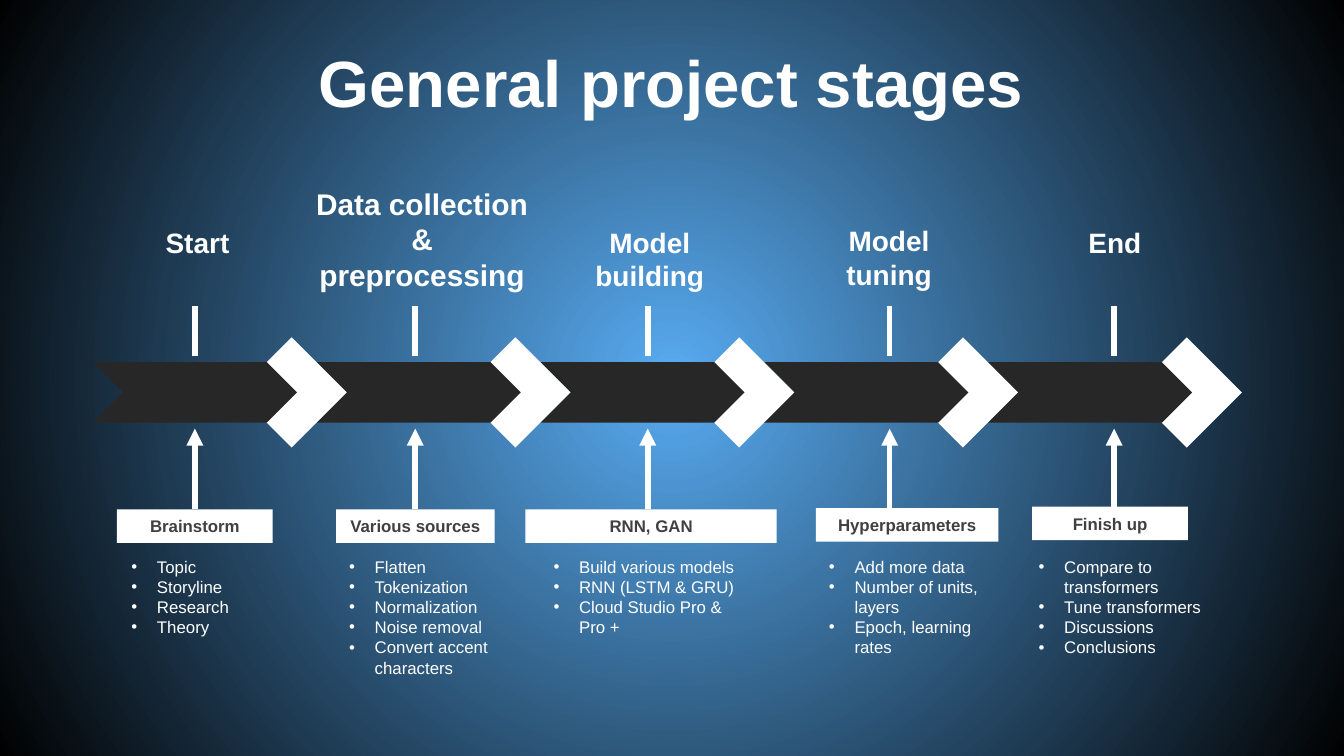
from collections import namedtuple

from lxml import etree
from pptx import Presentation
from pptx.dml.color import RGBColor
from pptx.enum.shapes import MSO_CONNECTOR, MSO_SHAPE
from pptx.enum.text import MSO_ANCHOR, MSO_AUTO_SIZE, PP_ALIGN
from pptx.oxml.ns import qn
from pptx.util import Inches, Pt

FONT = "Arial"
WHITE, DARK, LABEL_TEXT = "FFFFFF", "272727", "404040"
GLOW, EDGE = "58ABF1", "010101"

SLIDE_WIDTH = 10
SLIDE_HEIGHT = SLIDE_WIDTH * 9 / 16

BAND_LEFT, BAND_TOP, BAND_WIDTH = 0.69, 2.51, 8.55
DIAMOND = 0.82
CHEVRON_WIDTH, CHEVRON_HEIGHT = 1.52, 0.45
DIAMOND_OFFSET = 1.07
LABEL_HEIGHT, BULLETS_TOP = 0.25, 4.09

# Boxes: title (left, top, width, height), label (left, top, width),
# bullets (left, width, height); axis is the x of the tick and the arrow.
Stage = namedtuple(
    "Stage", "title title_box size anchor axis label label_box bullets bullets_box")

STAGES = [
    Stage("Start", (0.8, 1.63, 1.34, 0.35), 15, MSO_ANCHOR.TOP, 1.45,
          "Brainstorm", (0.87, 3.79, 1.16),
          ["Topic", "Storyline", "Research", "Theory"], (0.88, 1.16, 0.86)),
    Stage("Data collection & preprocessing", (2.2, 1.33, 1.88, 1.16), 16,
          MSO_ANCHOR.TOP, 3.09,
          "Various sources", (2.5, 3.79, 1.18),
          ["Flatten", "Tokenization", "Normalization", "Noise removal",
           "Convert accent characters"], (2.5, 1.34, 1.01)),
    Stage("Model building", (4.22, 1.62, 1.23, 0.61), 15, MSO_ANCHOR.MIDDLE, 4.82,
          "RNN, GAN", (3.91, 3.79, 1.87),
          ["Build various models", "RNN (LSTM & GRU)", "Cloud Studio Pro & Pro +"],
          (4.02, 1.61, 0.71)),
    Stage("Model tuning", (5.96, 1.61, 1.31, 0.61), 15, MSO_ANCHOR.MIDDLE, 6.62,
          "Hyperparameters", (6.07, 3.78, 1.36),
          ["Add more data", "Number of units, layers", "Epoch, learning rates"],
          (6.07, 1.36, 0.86)),
    Stage("End", (7.85, 1.63, 0.89, 0.35), 15, MSO_ANCHOR.MIDDLE, 8.29,
          "Finish up", (7.68, 3.77, 1.16),
          ["Compare to transformers", "Tune transformers", "Discussions",
           "Conclusions"], (7.63, 1.61, 0.86)),
]


def color(hex_string):
    return RGBColor.from_string(hex_string)


def inches(*lengths):
    return [Inches(length) for length in lengths]


def set_background(slide):
    """Radial gradient from a bright centre to dark corners."""
    fill = slide.background.fill
    fill.gradient()
    for stop, shade in zip(fill.gradient_stops, (GLOW, EDGE)):
        stop.color.rgb = color(shade)
    gradient = slide.element.find(".//" + qn("a:gradFill"))
    linear = gradient.find(qn("a:lin"))
    path = etree.Element(qn("a:path"), path="circle")
    etree.SubElement(path, qn("a:fillToRect"),
                     {side: "50000" for side in ("l", "t", "r", "b")})
    gradient.replace(linear, path)


def style_text(text_frame, size, shade, bold=False, alignment=PP_ALIGN.CENTER,
               anchor=MSO_ANCHOR.TOP):
    text_frame.word_wrap = True
    text_frame.vertical_anchor = anchor
    for paragraph in text_frame.paragraphs:
        paragraph.alignment = alignment
        for run in paragraph.runs:
            run.font.name = FONT
            run.font.size = Pt(size)
            run.font.bold = bold
            run.font.color.rgb = color(shade)


def add_solid(shapes, preset, box, shade):
    shape = shapes.add_shape(preset, *inches(*box))
    shape.shadow.inherit = False
    shape.fill.solid()
    shape.fill.fore_color.rgb = color(shade)
    shape.line.fill.background()
    return shape


def add_vertical_line(shapes, x, bottom, top, arrow=False):
    line = shapes.add_connector(
        MSO_CONNECTOR.STRAIGHT, *inches(x, bottom, x, top))
    line.line.color.rgb = color(WHITE)
    line.line.width = Pt(3)
    properties = line.element.spPr
    if arrow:
        etree.SubElement(properties.find(qn("a:ln")), qn("a:tailEnd"), type="triangle")
    etree.SubElement(properties, qn("a:effectLst"))
    return line


def add_heading(shapes, text, box):
    text_frame = shapes.add_textbox(*inches(*box)).text_frame
    text_frame.text = text
    text_frame.margin_top = text_frame.margin_bottom = Inches(0.1)
    style_text(text_frame, 35, WHITE, bold=True, anchor=MSO_ANCHOR.MIDDLE)
    text_frame.paragraphs[0].line_spacing = 1.15


def add_chevron_band(shapes, left, top, width, count):
    """Draws right to left, so each diamond tip covers the next chevron's notch."""
    pitch = (width - DIAMOND_OFFSET - DIAMOND) / (count - 1)
    chevron_top = top + (DIAMOND - CHEVRON_HEIGHT) / 2
    for index in reversed(range(count)):
        x = left + index * pitch
        add_solid(shapes, MSO_SHAPE.DIAMOND,
                  (x + DIAMOND_OFFSET, top, DIAMOND, DIAMOND), WHITE)
        add_solid(shapes, MSO_SHAPE.CHEVRON,
                  (x, chevron_top, CHEVRON_WIDTH, CHEVRON_HEIGHT), DARK)


def add_bullets(shapes, items, box):
    text_frame = shapes.add_textbox(*inches(*box)).text_frame
    text_frame.text = "\n".join(items)
    for paragraph in text_frame.paragraphs:
        properties = paragraph._p.get_or_add_pPr()
        properties.set("marL", str(Inches(0.19)))
        properties.set("indent", str(Inches(-0.19)))
        bullet_color = etree.SubElement(properties, qn("a:buClr"))
        etree.SubElement(bullet_color, qn("a:srgbClr"), val=WHITE)
        etree.SubElement(properties, qn("a:buFont"), typeface=FONT)
        etree.SubElement(properties, qn("a:buChar"), char="•")
    style_text(text_frame, 9, WHITE, alignment=PP_ALIGN.LEFT)
    text_frame.auto_size = MSO_AUTO_SIZE.SHAPE_TO_FIT_TEXT


def add_stage(shapes, stage):
    title = shapes.add_textbox(*inches(*stage.title_box)).text_frame
    title.text = stage.title
    style_text(title, stage.size, WHITE, bold=True, anchor=stage.anchor)
    title.auto_size = MSO_AUTO_SIZE.SHAPE_TO_FIT_TEXT
    add_vertical_line(shapes, stage.axis, 2.65, 2.28)

    details = shapes.add_group_shape().shapes
    left, top, width = stage.label_box
    label = add_solid(details, MSO_SHAPE.RECTANGLE,
                      (left, top, width, LABEL_HEIGHT), WHITE)
    label.text_frame.text = stage.label
    style_text(label.text_frame, 9, LABEL_TEXT, bold=True)
    label.text_frame.auto_size = MSO_AUTO_SIZE.SHAPE_TO_FIT_TEXT
    bullets_left, bullets_width, bullets_height = stage.bullets_box
    add_bullets(details, stage.bullets,
                (bullets_left, BULLETS_TOP, bullets_width, bullets_height))

    arrow = add_vertical_line(shapes, stage.axis, top, 3.19, arrow=True)
    if abs(left + width / 2 - stage.axis) < 0.01:
        arrow.begin_connect(label, 0)


def main():
    presentation = Presentation()
    presentation.slide_width, presentation.slide_height = inches(
        SLIDE_WIDTH, SLIDE_HEIGHT)
    slide = presentation.slides.add_slide(presentation.slide_layouts[6])
    set_background(slide)
    add_heading(slide.shapes, "General project stages", (0.1, 0.27, 9.79, 0.59))
    add_chevron_band(slide.shapes, BAND_LEFT, BAND_TOP, BAND_WIDTH, len(STAGES))
    for stage in STAGES:
        add_stage(slide.shapes, stage)
    presentation.save("out.pptx")


if __name__ == "__main__":
    main()
